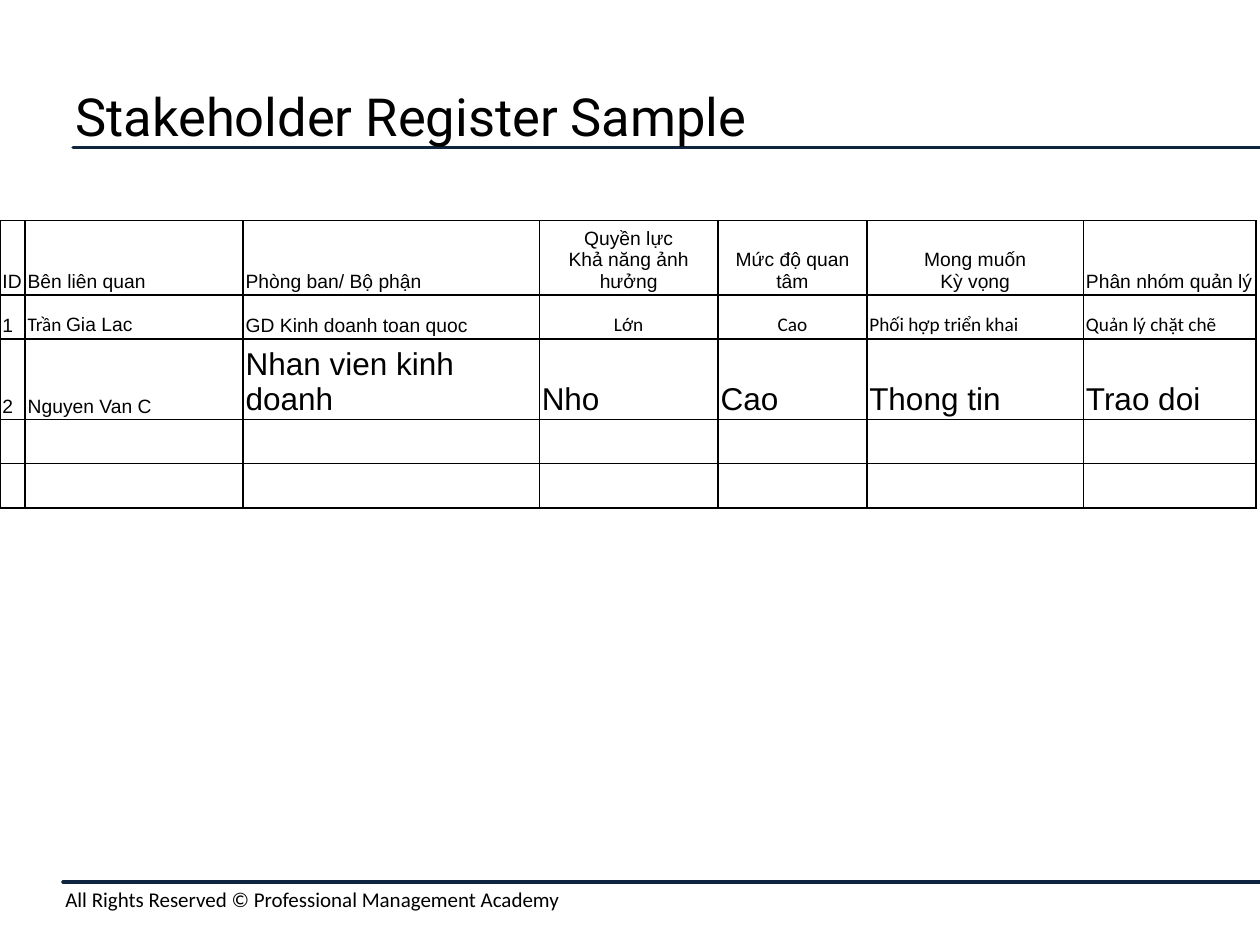
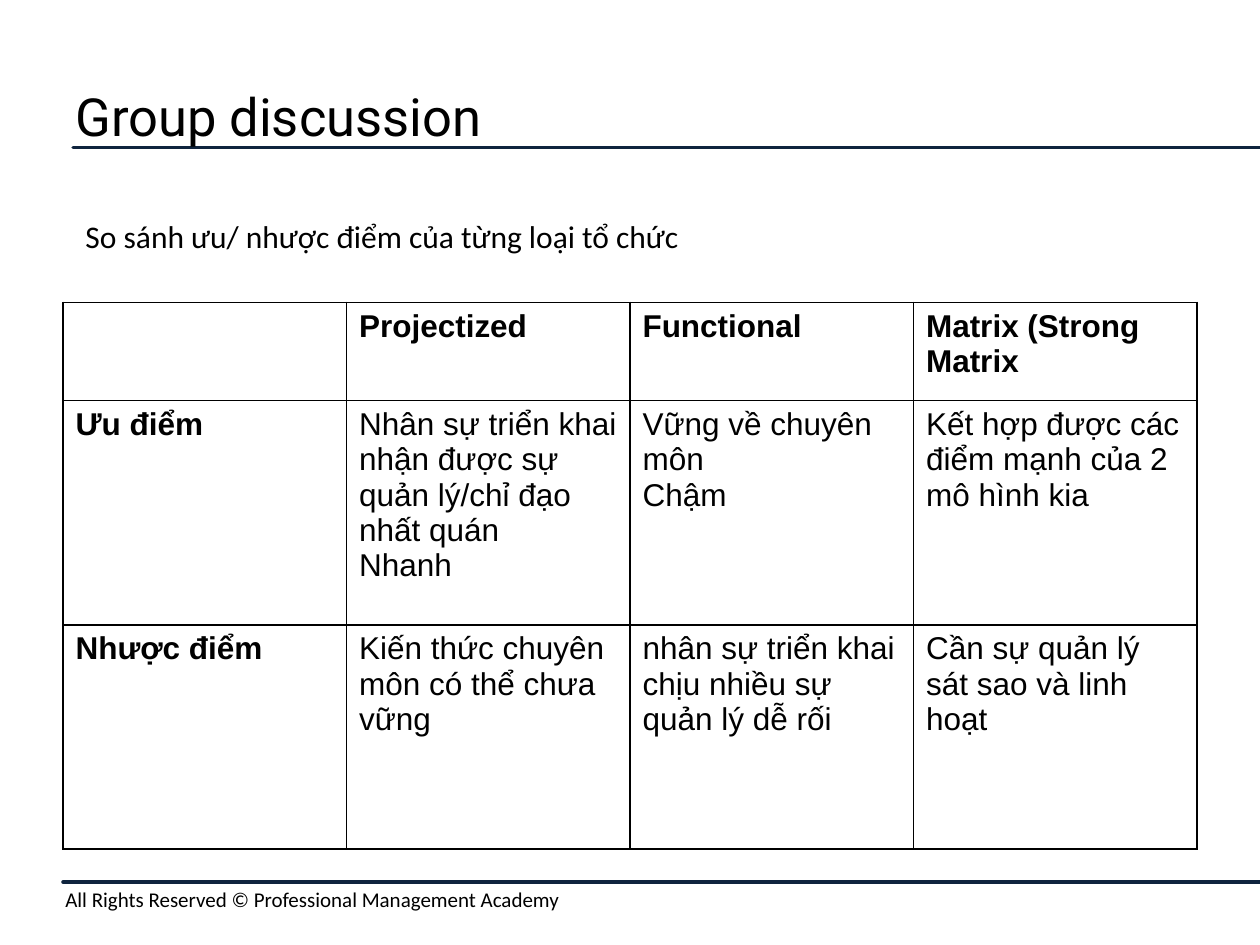
from lxml import etree
from pptx import Presentation
from pptx.dml.color import RGBColor
from pptx.enum.text import MSO_ANCHOR as Anchor, PP_ALIGN as Align
from pptx.enum.shapes import MSO_CONNECTOR as Connector
from pptx.oxml.ns import qn
from pptx.util import Inches, Pt

COLORS = {"text": "000000", "rule": "0F243E", "border": "000000"}
FOOTER = "All Rights Reserved © Professional Management Academy"

REGISTER_COLUMNS = [0.2, 1.73, 2.35, 1.42, 1.18, 1.72, 1.37]
REGISTER_HEIGHTS = [0.57, 0.35, 0.59, 0.35, 0.35]
REGISTER_ROWS = [
    ["ID", "Bên liên quan", "Phòng ban/ Bộ phận", "Quyền lực\vKhả năng ảnh hưởng",
     "Mức độ quan tâm", "Mong muốn\vKỳ vọng", "Phân nhóm quản lý"],
    ["1", "Trần ", "GD Kinh doanh toan quoc", "Lớn", "Cao",
     "Phối hợp triển khai", "Quản lý chặt chẽ"],
    ["2", "Nguyen Van C", "Nhan vien kinh doanh", "Nho", "Cao", "Thong tin", "Trao doi"],
    [""] * 7,
    [""] * 7,
]
COMPARISON_COLUMNS = [2.25] * 4
COMPARISON_HEIGHTS = [0.78, 1.78, 1.78]
COMPARISON_ROWS = [
    ["", "Projectized", "Functional", "Matrix (Strong Matrix"],
    ["Ưu điểm", "Nhân sự triển khai nhận được sự quản lý/chỉ đạo nhất quán\nNhanh",
     "Vững về chuyên môn\nChậm", "Kết hợp được các điểm mạnh của 2 mô hình kia"],
    ["Nhược điểm", "Kiến thức chuyên môn có thể chưa vững",
     "nhân sự triển khai chịu nhiều sự quản lý dễ rối",
     "Cần sự quản lý sát sao và linh hoạt"],
]


def style_font(font, name, size, bold=False):
    """Set the typeface, size, weight and text colour of a font."""
    font.name, font.size, font.bold = name, Pt(size), bold
    font.color.rgb = RGBColor.from_string(COLORS["text"])


def style_text(text_frame, name, size, bold=False):
    """Format every run of a text frame."""
    for paragraph in text_frame.paragraphs:
        for run in paragraph.runs:
            style_font(run.font, name, size, bold)


def add_text(slide, box, text, name, size, anchor=Anchor.TOP):
    """Add a wrapping text box at box (left, top, width, height)."""
    text_frame = slide.shapes.add_textbox(*map(Inches, box)).text_frame
    text_frame.word_wrap = True
    text_frame.vertical_anchor = anchor
    text_frame.text = text
    style_text(text_frame, name, size)


def add_rule(slide, left, top, right):
    """Draw a horizontal rule with round ends."""
    rule = slide.shapes.add_connector(
        Connector.STRAIGHT, Inches(left), Inches(top), Inches(right), Inches(top))
    rule.line.color.rgb = RGBColor.from_string(COLORS["rule"])
    rule.line.width = Pt(2)
    properties = rule._element.spPr
    properties.find(qn("a:ln")).set("cap", "rnd")
    etree.SubElement(properties, qn("a:effectLst"))


def add_frame(presentation, title):
    """Add a slide with the shared title, rules and footer."""
    slide = presentation.slides.add_slide(presentation.slide_layouts[6])
    add_rule(slide, 0.58, 1.17, 10)
    add_rule(slide, 0.5, 7, 10)
    add_text(slide, (0.42, 6.99, 9.58, 0.3), FOOTER, "Calibri", 12)
    add_text(slide, (0.5, 0.5, 9, 0.83), title, "Roboto", 30, Anchor.MIDDLE)
    return slide


def outline_cell(cell):
    """Give a cell thin borders and no fill."""
    properties = cell._tc.get_or_add_tcPr()
    for side in ("lnL", "lnR", "lnT", "lnB"):
        border = etree.SubElement(properties, qn(f"a:{side}"), w=str(Pt(1)))
        fill = etree.SubElement(border, qn("a:solidFill"))
        etree.SubElement(fill, qn("a:srgbClr"), val=COLORS["border"])
    cell.fill.background()


def add_grid(slide, left, top, columns, heights, rows):
    """Add a bordered table holding rows and return it."""
    table = slide.shapes.add_table(
        len(rows), len(columns), Inches(left), Inches(top),
        Inches(sum(columns)), Inches(sum(heights))).table
    table.first_row = table.horz_banding = False
    for column, width in zip(table.columns, columns):
        column.width = Inches(width)
    for row, height, texts in zip(table.rows, heights, rows):
        row.height = Inches(height)
        for cell, text in zip(row.cells, texts):
            cell.text_frame.text = text
            outline_cell(cell)
    return table


def add_register(slide, left, top):
    """Add the stakeholder register table."""
    table = add_grid(slide, left, top, REGISTER_COLUMNS, REGISTER_HEIGHTS, REGISTER_ROWS)
    for row_index, row in enumerate(table.rows):
        for column_index, cell in enumerate(row.cells):
            cell.vertical_anchor = Anchor.BOTTOM
            cell.margin_left = cell.margin_right = Inches(0.02)
            cell.margin_top = cell.margin_bottom = Inches(0.02)
            centred = (row_index == 0 and column_index in (3, 4, 5)
                       or row_index == 1 and column_index in (3, 4))
            if centred:
                cell.text_frame.paragraphs[0].alignment = Align.CENTER
            name = "Calibri" if row_index == 1 and column_index >= 3 else "Arial"
            size = 18 if row_index == 2 and column_index >= 2 else 11
            style_text(cell.text_frame, name, size)
    name_cell = table.cell(1, 1)
    style_text(name_cell.text_frame, "Calibri", 11)
    given_name = name_cell.text_frame.paragraphs[0].add_run()
    given_name.text = "Gia Lac"
    style_font(given_name.font, "Arial", 11)


def add_comparison(slide, left, top):
    """Add the table comparing organisation types, with bold headings."""
    table = add_grid(slide, left, top, COMPARISON_COLUMNS, COMPARISON_HEIGHTS,
                     COMPARISON_ROWS)
    for row_index, row in enumerate(table.rows):
        for column_index, cell in enumerate(row.cells):
            heading = row_index == 0 or column_index == 0
            style_text(cell.text_frame, "Arial", 18, heading)


def main():
    """Build both slides and save the presentation."""
    presentation = Presentation()
    presentation.slide_width, presentation.slide_height = Inches(10), Inches(7.5)
    add_register(add_frame(presentation, "Stakeholder Register Sample"), 0, 1.75)
    discussion = add_frame(presentation, "Group discussion")
    add_comparison(discussion, 0.5, 2.4)
    add_text(discussion, (0.58, 1.67, 5.51, 0.4),
             "So sánh ưu/ nhược điểm của từng loại tổ chức", "Calibri", 18)
    presentation.save("out.pptx")


if __name__ == "__main__":
    main()
